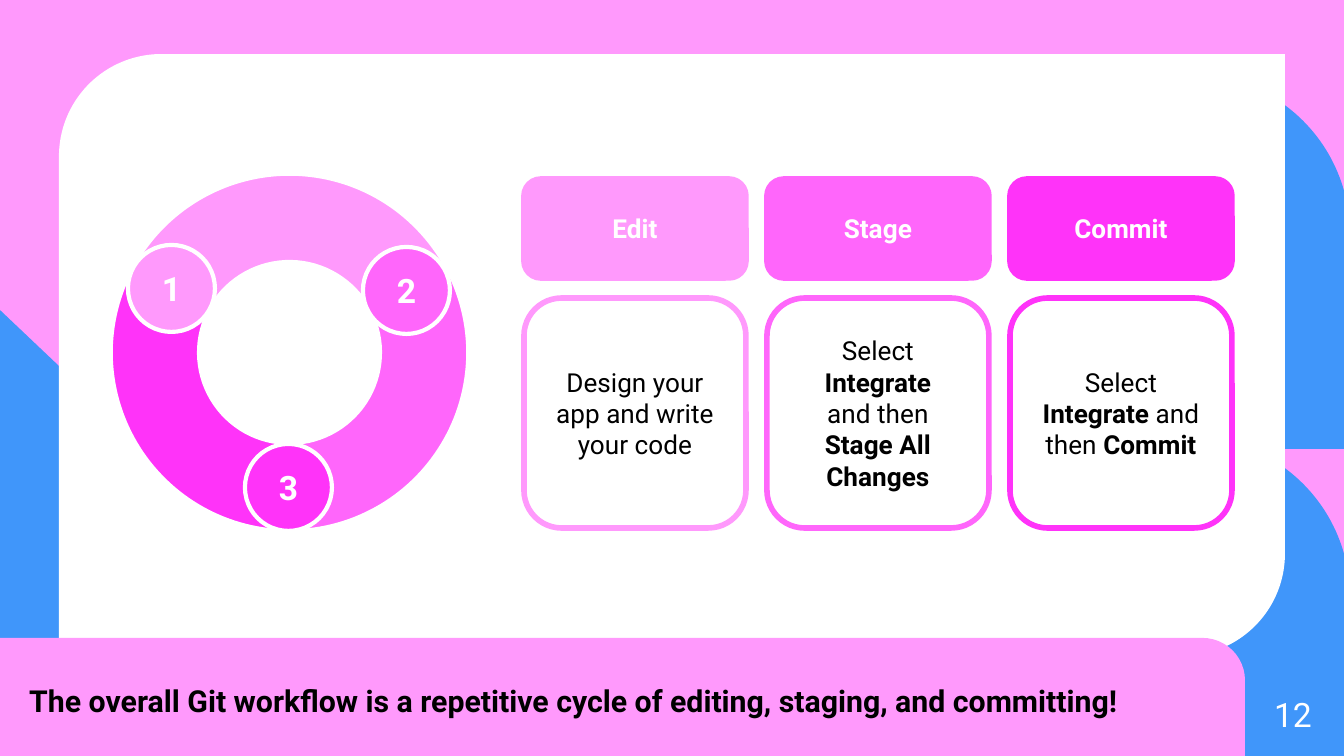
"""Build the Git workflow slide: a three-step cycle beside three step cards."""
from pptx import Presentation
from pptx import util as u
from pptx.dml.color import RGBColor
from pptx.enum import shapes, text

SCALE = 9144000 / 1344
FONT = "Roboto"
COLORS = {
    "edit": "FF99FC", "stage": "FF66FB", "commit": "FF33F9",
    "blue": "4096FA", "white": "FFFFFF", "black": "000000",
}
KIND = shapes.MSO_SHAPE
CENTER = text.PP_ALIGN.CENTER

TRIANGLE_TOPS = (310, 503)
ARCH_TOPS = (129, 74, 437)
RING = (("stage", 93), ("commit", 213), ("edit", 331))
NODES = (("stage", "2", 363, 247), ("commit", "3", 245, 444), ("edit", "1", 128, 245))
STEPS = (
    ("edit", "Edit", [[("Design your app and write your code", False)]]),
    ("stage", "Stage", [
        [("Select ", False), ("Integrate", True)],
        [("and then ", False), ("Stage All Changes", True)],
    ]),
    ("commit", "Commit", [
        [("Select ", False), ("Integrate", True), (" and then ", False), ("Commit", True)],
    ]),
)
CARD_LEFT, CARD_PITCH, CARD_WIDTH = 524, 243, 222
TAKEAWAY = "The overall Git workflow is a repetitive cycle of editing, staging, and committing!"


def px(length):
    """Turn px into EMU."""
    return u.Emu(round(length * SCALE))


def rgb(name):
    """Look up a named colour."""
    return RGBColor.from_string(COLORS[name])


def add_block(slide, kind, box, fill=None, outline=None, weight=3, adjust=(), turn=0):
    """Add a preset shape with optional fill, outline, adjustments and rotation."""
    block = slide.shapes.add_shape(kind, *map(px, box))
    block.shadow.inherit = False
    block.rotation = turn
    for index, value in enumerate(adjust):
        block.adjustments[index] = value
    if fill:
        block.fill.solid()
        block.fill.fore_color.rgb = rgb(fill)
    else:
        block.fill.background()
    if outline:
        block.line.color.rgb = rgb(outline)
        block.line.width = u.Pt(weight)
    else:
        block.line.fill.background()
    return block


def write(holder, paragraphs, size, color, align):
    """Write paragraphs of (wording, bold) runs into a shape or text box."""
    frame = holder.text_frame
    frame.word_wrap = True
    frame.vertical_anchor = text.MSO_ANCHOR.MIDDLE
    frame.margin_left = frame.margin_right = u.Inches(0.1)
    frame.margin_top = frame.margin_bottom = u.Inches(0.1)
    for index, runs in enumerate(paragraphs):
        paragraph = frame.add_paragraph() if index else frame.paragraphs[0]
        paragraph.alignment = align
        for wording, bold in runs:
            run = paragraph.add_run()
            run.text = wording
            run.font.name = FONT
            run.font.size = u.Pt(size)
            run.font.bold = bold
            run.font.color.rgb = rgb(color)
    return frame


def add_label(slide, box, wording, size, color, align, bold):
    """Add a one-line text box."""
    label = slide.shapes.add_textbox(*map(px, box))
    return write(label, [[(wording, bold)]], size, color, align)


def add_backdrop(slide):
    """Draw the background, the blue decoration, the panel and the page number."""
    slide.background.fill.solid()
    slide.background.fill.fore_color.rgb = rgb("edit")
    for top in TRIANGLE_TOPS:
        add_block(slide, KIND.RIGHT_TRIANGLE, (0, top, 271, 257), "blue")
    for top in ARCH_TOPS:
        add_block(slide, KIND.ROUND_2_SAME_RECTANGLE, (952, top, 398, 320), "blue",
                  adjust=(0.5, 0))
    add_block(slide, KIND.ROUND_2_DIAG_RECTANGLE, (59, 54, 1226, 602), "white",
              adjust=(0.17, 0))
    add_label(slide, (1222, 685, 103, 58), "12", 18, "white", text.PP_ALIGN.RIGHT, False)


def add_cycle(slide):
    """Draw the ring of three arcs with its numbered nodes."""
    for color, turn in RING:
        add_block(slide, KIND.BLOCK_ARC, (110, 173, 359, 359), color, "white",
                  adjust=(142.25, 0, 0.25), turn=turn)
    for color, number, left, top in NODES:
        node = add_block(slide, KIND.OVAL, (left, top, 87, 87), color, "white", 2.25)
        write(node, [[(number, True)]], 18, "white", CENTER)


def add_steps(slide):
    """Draw a heading and a description card for each step."""
    for index, (color, title, description) in enumerate(STEPS):
        left = CARD_LEFT + index * CARD_PITCH
        heading = add_block(slide, KIND.ROUNDED_RECTANGLE, (left, 179, CARD_WIDTH, 99),
                            color, color, adjust=(0.17,))
        write(heading, [[(title, True)]], 14, "white", CENTER)
        card = add_block(slide, KIND.ROUNDED_RECTANGLE, (left, 298, CARD_WIDTH, 230),
                         outline=color, adjust=(0.17,))
        write(card, description, 14, "black", CENTER)


def add_takeaway(slide):
    """Draw the footer band with the closing sentence."""
    add_block(slide, KIND.ROUND_1_RECTANGLE, (-4, 638, 1249, 118), "edit", adjust=(0.36,))
    frame = add_label(slide, (16, 669, 1129, 58), TAKEAWAY, 16.2, "black",
                      text.PP_ALIGN.LEFT, True)
    frame.paragraphs[0].line_spacing = 1.15
    frame.paragraphs[0].space_after = u.Pt(12)


def main():
    """Build and save the slide."""
    deck = Presentation()
    deck.slide_width, deck.slide_height = px(1344), px(756)
    slide = deck.slides.add_slide(deck.slide_layouts[6])
    add_backdrop(slide)
    add_cycle(slide)
    add_steps(slide)
    add_takeaway(slide)
    deck.save("out.pptx")


if __name__ == "__main__":
    main()
